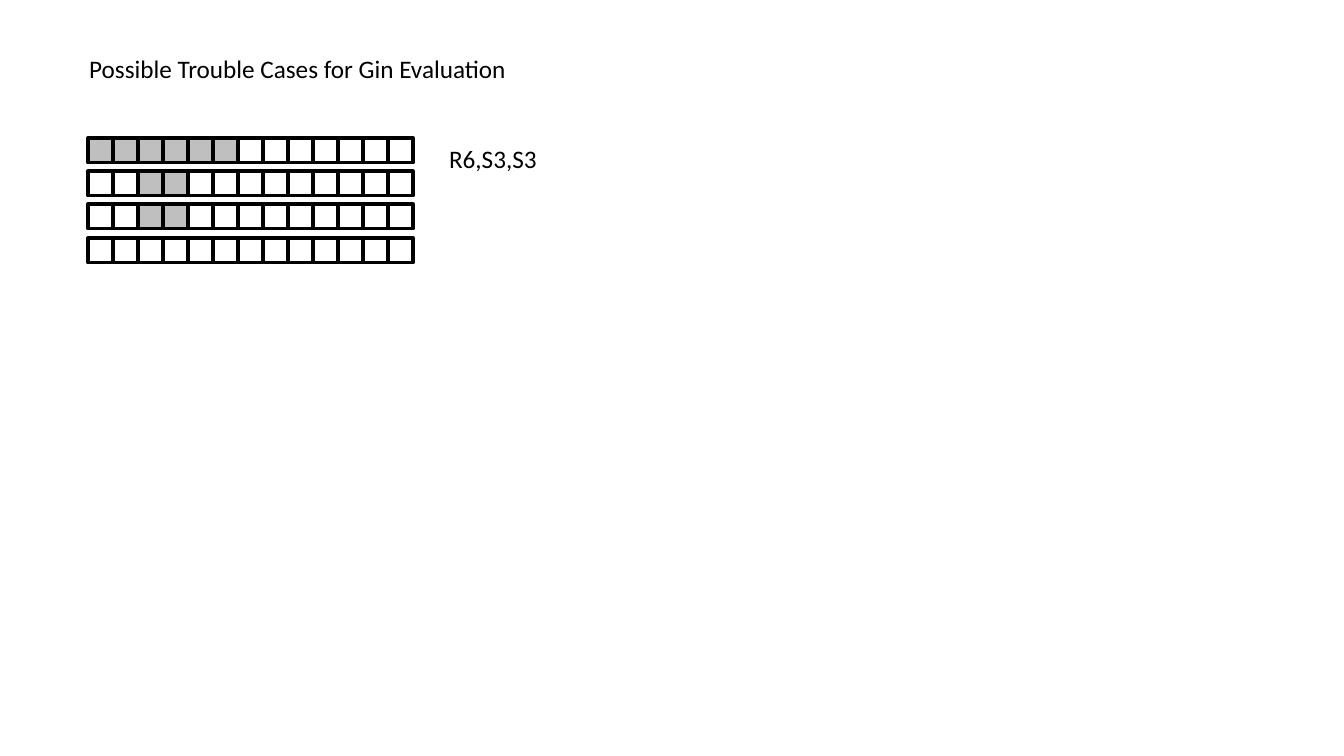
from pptx import Presentation
from pptx.dml.color import RGBColor
from pptx.enum.shapes import MSO_SHAPE as Preset
from pptx.enum.text import MSO_ANCHOR as Anchor, MSO_AUTO_SIZE as AutoSize, PP_ALIGN as Align
from pptx.util import Inches, Pt

COLOURS = {"ink": "000000", "held": "BFBFBF", "empty": "FFFFFF"}
EMU_PER_PX = Inches(1) / 100.8
CARDS_PER_SUIT = 13
HELD_CARDS = [range(6), range(2, 4), range(2, 4), range(0)]


def px(length):
    return round(length * EMU_PER_PX)


class CardSlide:
    """Draws the text and card grid of one slide in a shared style."""

    font_name = "Calibri"
    font_size = Pt(18)
    line_width = Pt(2.25)

    def __init__(self, presentation):
        self.slide = presentation.slides.add_slide(presentation.slide_layouts[5])

    def colour(self, name):
        return RGBColor.from_string(COLOURS[name])

    def set_text(self, shape, text):
        text_frame = shape.text_frame
        text_frame.text = text
        text_frame.word_wrap = False
        text_frame.auto_size = AutoSize.SHAPE_TO_FIT_TEXT
        text_frame.vertical_anchor = Anchor.TOP
        paragraph = text_frame.paragraphs[0]
        paragraph.alignment = Align.LEFT
        font = paragraph.runs[0].font
        font.name = self.font_name
        font.size = self.font_size
        font.color.rgb = self.colour("ink")

    def title(self, text, left, top, width, height):
        shape = self.slide.shapes.title
        shape.left, shape.top = px(left), px(top)
        shape.width, shape.height = px(width), px(height)
        self.set_text(shape, text)

    def label(self, text, left, top, width, height):
        shape = self.slide.shapes.add_textbox(px(left), px(top), px(width), px(height))
        self.set_text(shape, text)

    def card(self, group, left, top, size, fill):
        shape = group.shapes.add_shape(Preset.RECTANGLE, px(left), px(top), px(size), px(size))
        shape.shadow.inherit = False
        shape.fill.solid()
        shape.fill.fore_color.rgb = self.colour(fill)
        shape.line.color.rgb = self.colour("ink")
        shape.line.width = self.line_width

    def hand(self, held_cards, left, top, size):
        group = self.slide.shapes.add_group_shape()
        for suit, held in enumerate(held_cards):
            suit_top = top + suit * size * 4 // 3
            for rank in range(CARDS_PER_SUIT):
                fill = "held" if rank in held else "empty"
                self.card(group, left + rank * size, suit_top, size, fill)


def main():
    presentation = Presentation()
    presentation.slide_width = Inches(13.33)
    presentation.slide_height = Inches(7.5)
    card_slide = CardSlide(presentation)
    card_slide.hand(HELD_CARDS, 88, 138, 25)
    card_slide.title("Possible Trouble Cases for Gin Evaluation", 79, 48, 442, 40)
    card_slide.label("R6,S3,S3", 439, 138, 109, 40)
    presentation.save("out.pptx")


if __name__ == "__main__":
    main()
